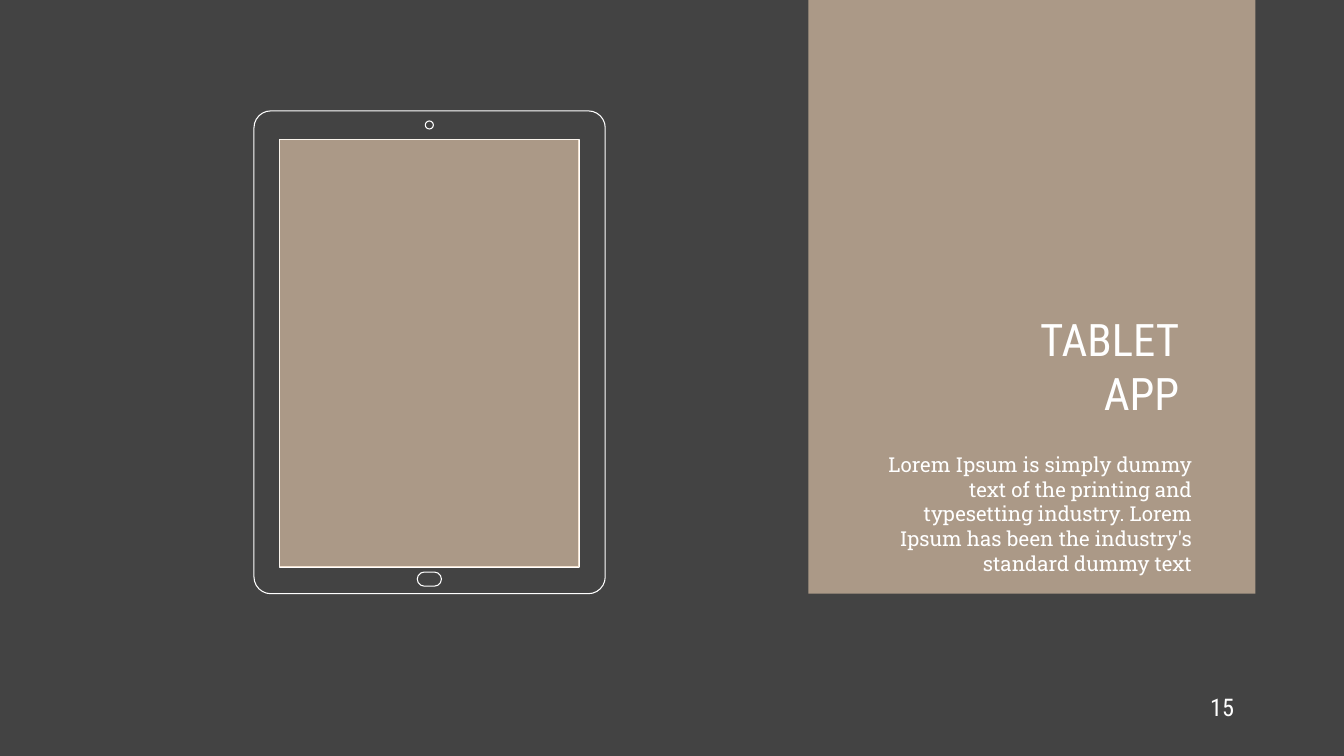
"""Builds the tablet app slide: an outlined tablet beside a titled panel."""
from lxml import etree
from pptx import Presentation
from pptx.dml.color import RGBColor
from pptx.enum import shapes, text
from pptx.oxml.ns import qn
from pptx.util import Inches, Pt

COLORS = {"ground": "434343", "sand": "EBCFB2", "white": "FFFFFF"}
SHAPE = shapes.MSO_SHAPE
ANCHOR = text.MSO_ANCHOR
SCREEN = (5.55, 2.77, 5.94, 8.48)

deck = Presentation()
deck.slide_width, deck.slide_height = Inches(26.67), Inches(15)
page = deck.slides.add_slide(deck.slide_layouts[6])
page.background.fill.solid()
page.background.fill.fore_color.rgb = RGBColor.from_string(COLORS["ground"])


def add_panel(place):
    panel = page.shapes.add_shape(SHAPE.RECTANGLE, *map(Inches, place))
    panel.shadow.inherit = False
    panel.line.fill.background()
    panel.fill.solid()
    panel.fill.fore_color.rgb = RGBColor.from_string(COLORS["sand"])
    color = panel.fill._xPr.find(qn("a:solidFill"))[0]
    etree.SubElement(color, qn("a:alpha"), val="62000")


def add_text(place, lines, anchor, font_format):
    box = page.shapes.add_textbox(*map(Inches, place))
    frame = box.text_frame
    frame.word_wrap = True
    frame.vertical_anchor = anchor
    for side in ("left", "top", "right", "bottom"):
        setattr(frame, f"margin_{side}", Inches(0.27))
    frame.text = "\n".join(lines)
    for para in frame.paragraphs:
        para.alignment = text.PP_ALIGN.RIGHT
        for span in para.runs:
            for name, value in font_format.items():
                setattr(span.font, name, value)
            span.font.color.rgb = RGBColor.from_string(COLORS["white"])


add_panel((16.04, -0.22, 8.87, 12))
add_text((17.03, 2.6, 6.64, 5.99), ["TABLET", "APP"], ANCHOR.BOTTOM,
         {"name": "Roboto Condensed", "size": Pt(64)})
add_text((17.28, 8.7, 6.64, 2.31),
         ["Lorem Ipsum is simply dummy text of the printing and typesetting industry. "
          "Lorem Ipsum has been the industry's standard dummy text"],
         ANCHOR.TOP, {"name": "Roboto Slab", "size": Pt(29.3)})

tablet = page.shapes.add_group_shape()
for kind, place, rounding in [
    (SHAPE.ROUNDED_RECTANGLE, (5.04, 2.2, 6.97, 9.58), 0.048),
    (SHAPE.ROUNDED_RECTANGLE, (8.28, 11.35, 0.48, 0.28), 0.5),
    (SHAPE.OVAL, (8.44, 2.4, 0.16, 0.16), None),
    (SHAPE.RECTANGLE, SCREEN, None),
]:
    part = tablet.shapes.add_shape(kind, *map(Inches, place))
    part.shadow.inherit = False
    part.fill.background()
    part.line.color.rgb = RGBColor.from_string(COLORS["white"])
    part.line.width = Pt(1.5)
    if rounding is not None:
        part.adjustments[0] = rounding

add_text((23.16, 13.63, 1.6, 0.8), ["15"], ANCHOR.MIDDLE,
         {"name": "Roboto Condensed", "size": Pt(34.7)})
add_panel(SCREEN)

deck.save("out.pptx")
